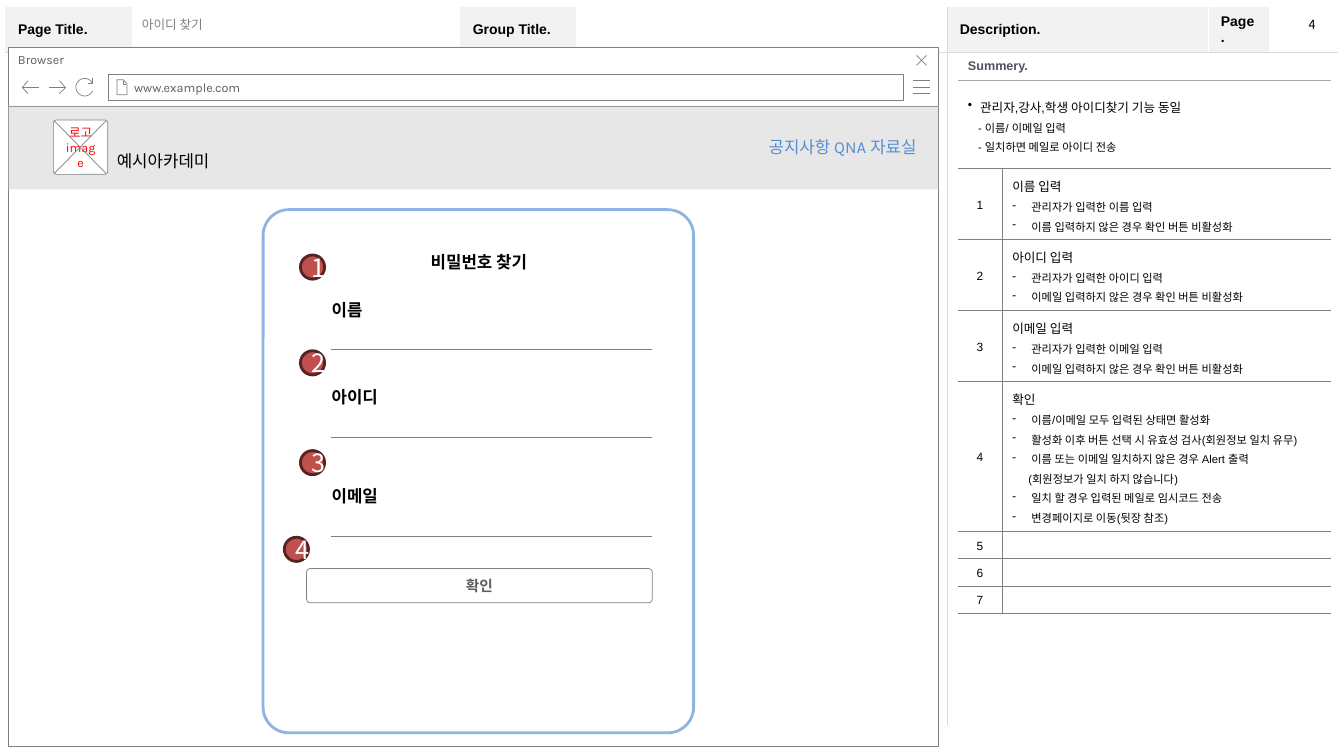
from dataclasses import dataclass
from math import cos, radians, sin

from lxml.etree import SubElement
from pptx import Presentation
from pptx.dml.color import RGBColor
from pptx.enum.shapes import MSO_CONNECTOR, MSO_SHAPE
from pptx.enum.text import MSO_ANCHOR, PP_ALIGN
from pptx.oxml import parse_xml
from pptx.oxml.ns import nsdecls, qn
from pptx.util import Pt

PX = 9144


@dataclass(frozen=True)
class Theme:
    """Colours, fonts and type sizes."""
    white: str = "FFFFFF"
    black: str = "000000"
    gray: str = "808080"
    text: str = "5F5F5F"
    pale: str = "F2F2F2"
    rule: str = "D9D9D9"
    mid: str = "A6A6A6"
    banner: str = "BFBFBF"
    slate: str = "4E5263"
    card: str = "8EB4E3"
    menu: str = "558ED5"
    badge: str = "C0504D"
    badge_line: str = "542322"
    red: str = "FF0000"
    arial: str = "Arial"
    karla: str = "Karla"
    noto: str = "Noto Sans CJK KR"
    note: float = 8
    number: float = 8.5
    small: float = 9
    head: float = 10
    button: float = 10.5
    label: float = 12
    badge_size: float = 18


T = Theme()
HEADERS = {0: "Page Title.", 2: "Group Title.", 4: "Description.", 5: "Page."}
SUMMARY = ["관리자,강사,학생 아이디찾기 기능 동일", "- 이름/ 이메일 입력", "- 일치하면 메일로 아이디 전송"]
STEPS = [
    ("이름 입력", ["관리자가 입력한 이름 입력", "이름 입력하지 않은 경우 확인 버튼 비활성화"]),
    ("아이디 입력", ["관리자가 입력한 아이디 입력", "이메일 입력하지 않은 경우 확인 버튼 비활성화"]),
    ("이메일 입력", ["관리자가 입력한 이메일 입력", "이메일 입력하지 않은 경우 확인 버튼 비활성화"]),
    ("확인", ["이름/이메일 모두 입력된 상태면 활성화",
            "활성화 이후 버튼 선택 시 유효성 검사(회원정보 일치 유무)",
            "이름 또는 이메일 일치하지 않은 경우 Alert 출력",
            "(회원정보가 일치 하지 않습니다)",
            "일치 할 경우 입력된 메일로 임시코드 전송",
            "변경페이지로 이동(뒷장 참조)"]),
]
FIELDS = [("이름", 292, 347), ("아이디", 379, 434), ("이메일", 477, 532)]
BADGES = [(298, 253), (298, 348), (298, 447), (282, 533)]
ARC = [(84 + 8.7 * cos(radians(a)), 86.5 + 8.7 * sin(radians(a))) for a in range(24, 337, 12)]
ICONS = [
    [[(906, y), (922, y)] for y in (80, 87, 93)],
    [[(919, 55), (909, 65)], [(909, 55), (919, 65)]],
    [[(122, 80), (122, 84), (125, 84)],
     [(116, 79), (116, 94), (126, 94), (126, 83), (122, 79), (116, 79)]],
    [[(28, 93), (22, 87), (28, 80)], [(23, 87), (39, 87)]],
    [[(59, 80), (65, 87), (59, 93)], [(65, 87), (49, 87)]],
    [[(92, 77), (92, 83), (87, 83)], ARC],
]


def rgb(color):
    """Return a colour object for a hex string."""
    return RGBColor.from_string(color)


def box(*lengths):
    """Turn px lengths into EMU."""
    return [round(v * PX) for v in lengths]


def write(tf, text, size=T.small, color=T.black, font=T.arial, bold=False, align=PP_ALIGN.LEFT,
          left=0, hang=0, bullet=None, spacing=None):
    """Add one formatted paragraph, filling the first one if it is empty."""
    p = tf.paragraphs[0] if not tf.text else tf.add_paragraph()
    p.alignment = align
    if spacing:
        p.line_spacing = spacing
    pPr = p._p.get_or_add_pPr()
    pPr.set("marL", str(left * PX))
    pPr.set("indent", str(-hang * PX))
    if bullet:
        SubElement(pPr, qn("a:buChar")).set("char", bullet)
    r = p.add_run()
    r.text = text
    r.font.size, r.font.bold, r.font.name = Pt(size), bold, font
    r.font.color.rgb = rgb(color)
    SubElement(r._r.get_or_add_rPr(), qn("a:ea")).set("typeface", T.noto)


def text_box(slide, at, text, wrap=True, anchor=MSO_ANCHOR.TOP, **fmt):
    """Add a text box with one paragraph."""
    tf = slide.shapes.add_textbox(*box(*at)).text_frame
    tf.word_wrap, tf.vertical_anchor = wrap, anchor
    write(tf, text, **fmt)


def stroke(sp, color, width):
    """Set a line's colour and width."""
    sp.line.color.rgb, sp.line.width = rgb(color), Pt(width)


def shape(slide, kind, at, fill=T.white, line=T.gray, width=0.5, adj=None,
          alpha=None, insets=None, anchor=MSO_ANCHOR.MIDDLE):
    """Add a preset shape and return it."""
    sp = slide.shapes.add_shape(kind, *box(*at))
    sp.shadow.inherit = False
    sp.fill.solid()
    sp.fill.fore_color.rgb = rgb(fill)
    if alpha:
        clr = sp.fill._xPr.find(qn("a:solidFill"))[0]
        SubElement(clr, qn("a:alpha")).set("val", str(alpha * 1000))
    if line:
        stroke(sp, line, width)
    else:
        sp.line.fill.background()
    if adj:
        sp.adjustments[0] = adj
    tf = sp.text_frame
    tf.word_wrap, tf.vertical_anchor = True, anchor
    if insets:
        tf.margin_left, tf.margin_top, tf.margin_right, tf.margin_bottom = box(*insets)
    return sp


def rule(slide, x1, y1, x2, y2):
    """Add a thin gray line."""
    cn = slide.shapes.add_connector(MSO_CONNECTOR.STRAIGHT, *box(x1, y1, x2, y2))
    stroke(cn, T.gray, 0.5)
    SubElement(cn._element.spPr, qn("a:effectLst"))


def icon(slide, contours):
    """Draw an outline icon from open contours."""
    first, *rest = [[box(*pt) for pt in contour] for contour in contours]
    fb = slide.shapes.build_freeform(*first[0])
    fb.add_line_segments(first[1:], close=False)
    for contour in rest:
        fb.move_to(*contour[0])
        fb.add_line_segments(contour[1:], close=False)
    sp = fb.convert_to_shape()
    sp.shadow.inherit = False
    sp.fill.background()
    stroke(sp, T.gray, 0.5)


def style_cell(cell, fill=None, insets=None, **borders):
    """Set a cell's fill, insets and borders keyed L, R, T, B."""
    cell.vertical_anchor = MSO_ANCHOR.MIDDLE
    if fill:
        cell.fill.solid()
        cell.fill.fore_color.rgb = rgb(fill)
    else:
        cell.fill.background()
    if insets:
        cell.margin_left, cell.margin_top, cell.margin_right, cell.margin_bottom = box(*insets)
    tcPr = cell._tc.get_or_add_tcPr()
    for i, side in enumerate("LRTB"):
        color = borders.get(side)
        paint = f'<a:solidFill><a:srgbClr val="{color}"/></a:solidFill>' if color else "<a:noFill/>"
        tcPr.insert(i, parse_xml(f'<a:ln{side} {nsdecls("a")} w="3175">{paint}</a:ln{side}>'))


def table(slide, left, top, cols, rows):
    """Add an unbanded table and return it."""
    at = box(left, top, sum(cols), sum(rows))
    tbl = slide.shapes.add_table(len(rows), len(cols), *at).table
    tbl.first_row = tbl.horz_banding = False
    for col, w in zip(tbl.columns, cols):
        col.width = w * PX
    for row, h in zip(tbl.rows, rows):
        row.height = h * PX
    return tbl


def page_frame(slide):
    """Build the header band and the divider beside the description."""
    tbl = table(slide, 5, 7, [126, 325, 115, 368, 259, 61, 68], [44, 667])
    for i in range(7):
        edges = {"R": T.rule} if i == 3 else {"L": T.rule} if i == 4 else {}
        cell = tbl.cell(0, i)
        style_cell(cell, T.pale if i in HEADERS else None, (13, 7, 13, 7), B=T.rule,
                   **(edges or ({"L": T.white} if i == 5 else {})))
        if i in HEADERS:
            write(cell.text_frame, HEADERS[i], size=T.head, bold=True)
        style_cell(tbl.cell(1, i), T=T.rule, **edges)
    tbl.cell(1, 0).merge(tbl.cell(1, 3))
    tbl.cell(1, 4).merge(tbl.cell(1, 6))


def description(slide):
    """Build the summary and the numbered steps."""
    tbl = table(slide, 950, 52, [44, 326], [28, 87, 70, 71, 70, 149, 27, 27, 27])
    for r, (above, below) in enumerate([(None, T.mid), (T.mid, T.gray)]):
        for c in range(2):
            style_cell(tbl.cell(r, c), T=above, B=below)
        tbl.cell(r, 0).merge(tbl.cell(r, 1))
    fmt = {"align": PP_ALIGN.JUSTIFY, "spacing": 1.2}
    write(tbl.cell(0, 0).text_frame, "Summery.", color=T.slate, bold=True)
    tf = tbl.cell(1, 0).text_frame
    write(tf, SUMMARY[0], left=12, hang=12, bullet="•", **fmt)
    for line in SUMMARY[1:]:
        write(tf, line, size=T.note, left=10, **fmt)
    for n in range(1, 8):
        number, body = tbl.cell(n + 1, 0), tbl.cell(n + 1, 1)
        style_cell(number, T=T.gray, B=T.gray, R=T.gray)
        style_cell(body, T=T.gray, B=T.gray, L=T.gray)
        write(number.text_frame, str(n), size=T.number, align=PP_ALIGN.CENTER, spacing=1.2)
        if n > len(STEPS):
            body.text_frame.paragraphs[0]._p.get_or_add_endParaRPr().set("sz", "800")
            continue
        title, notes = STEPS[n - 1]
        write(body.text_frame, title, **fmt)
        for note in notes:
            place = {"left": 16} if note[0] == "(" else {"left": 19, "hang": 19, "bullet": "-"}
            write(body.text_frame, note, size=T.note, **place, **fmt)


def browser(slide):
    """Build the browser window and its toolbar."""
    fmt = {"color": T.text, "font": T.karla}
    shape(slide, MSO_SHAPE.RECTANGLE, (8, 105, 923, 635))
    bar = shape(slide, MSO_SHAPE.RECTANGLE, (8, 47, 923, 59), insets=(10, 5, 25, 5), anchor=MSO_ANCHOR.TOP)
    write(bar.text_frame, "Browser", **fmt)
    address = shape(slide, MSO_SHAPE.RECTANGLE, (107, 74, 789, 26), insets=(26, 5, 10, 5))
    write(address.text_frame, "www.example.com", **fmt)
    for contours in ICONS:
        icon(slide, contours)


def form(slide):
    """Build the search form with its numbered badges."""
    shape(slide, MSO_SHAPE.ROUNDED_RECTANGLE, (261, 208, 427, 519), line=T.card, width=2, adj=0.06)
    button = shape(slide, MSO_SHAPE.ROUNDED_RECTANGLE, (304, 564, 343, 34), adj=0.11, insets=(10, 7, 10, 7))
    write(button.text_frame, "확인", size=T.button, color=T.text, font=T.karla, bold=True, align=PP_ALIGN.CENTER)
    fmt = {"size": T.label, "font": T.noto, "bold": True}
    text_box(slide, (384, 245, 182, 30), "비밀번호 찾기", align=PP_ALIGN.CENTER, **fmt)
    for label, y, line_y in FIELDS:
        text_box(slide, (319, y, 182, 30), label, **fmt)
        rule(slide, 328, line_y, 647, line_y)
    for n, (x, y) in enumerate(BADGES, 1):
        sp = shape(slide, MSO_SHAPE.OVAL, (x, y, 24, 24), fill=T.badge, line=T.badge_line, width=2)
        write(sp.text_frame, str(n), size=T.badge_size, color=T.white, font=T.noto, align=PP_ALIGN.CENTER)


def site_banner(slide):
    """Build the site's banner with logo box, name and menu."""
    shape(slide, MSO_SHAPE.RECTANGLE, (8, 105, 923, 83), fill=T.banner, line=None, alpha=37)
    logo = shape(slide, MSO_SHAPE.ROUNDED_RECTANGLE, (53, 119, 54, 54), adj=0.06)
    for word in ("로고", "image"):
        write(logo.text_frame, word, color=T.red, font=T.karla, align=PP_ALIGN.CENTER)
    rule(slide, 54, 120, 105, 172)
    rule(slide, 54, 172, 105, 120)
    text_box(slide, (106, 145, 182, 30), "예시아카데미", size=T.label, font=T.noto)
    text_box(slide, (252, 131, 667, 30), "공지사항 QNA 자료실", size=T.label, color=T.menu,
             font=T.karla, align=PP_ALIGN.RIGHT)


def main():
    """Build and save the slide."""
    prs = Presentation()
    prs.slide_width, prs.slide_height = box(1333, 750)
    slide = prs.slides.add_slide(prs.slide_layouts[6])
    page_frame(slide)
    browser(slide)
    text_box(slide, (131, 12, 324, 24), "아이디 찾기", color=T.gray, anchor=MSO_ANCHOR.MIDDLE)
    description(slide)
    text_box(slide, (1288, 12, 27, 25), "4", wrap=False, font=T.noto)
    form(slide)
    site_banner(slide)
    prs.save("out.pptx")


if __name__ == "__main__":
    main()
